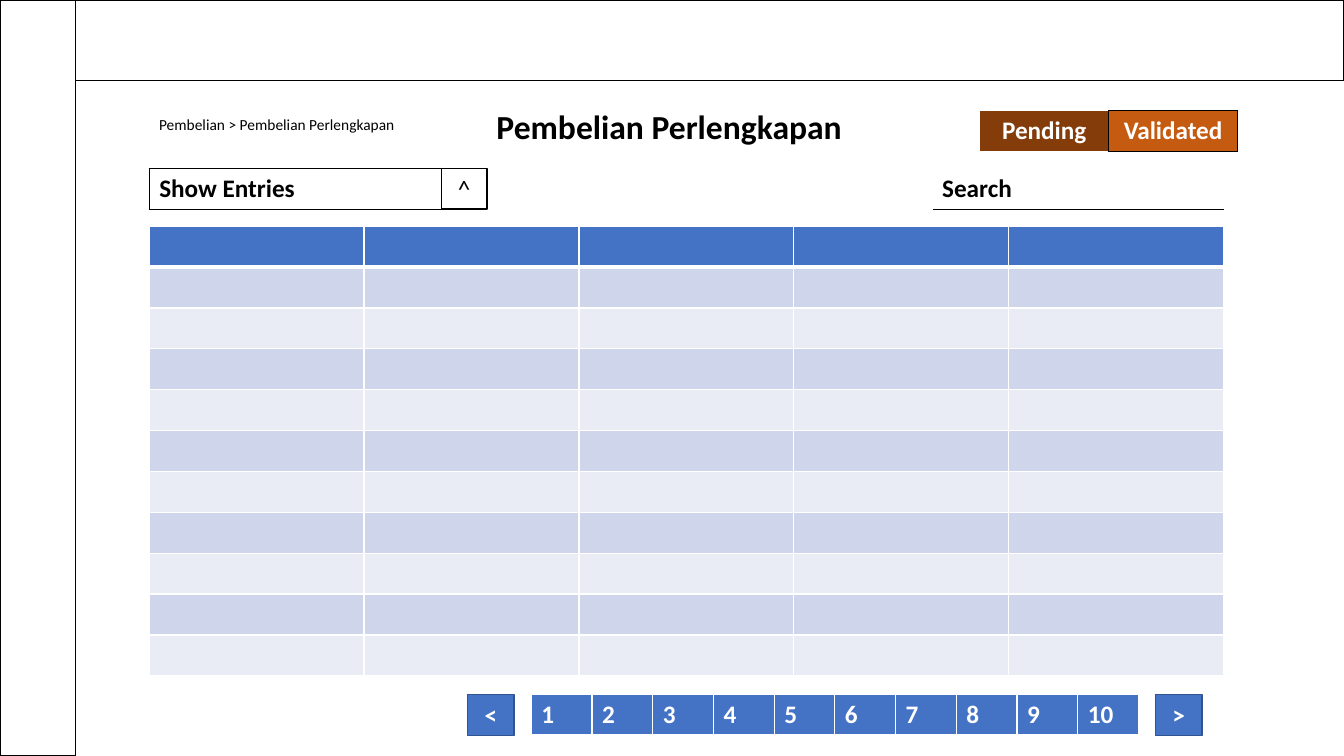
from collections import namedtuple
from dataclasses import dataclass

from lxml import etree
from pptx import Presentation
from pptx.dml.color import RGBColor
from pptx.enum.shapes import MSO_SHAPE
from pptx.enum.text import MSO_ANCHOR, PP_ALIGN
from pptx.oxml.ns import qn
from pptx.util import Cm, Pt

RECTANGLE = MSO_SHAPE.RECTANGLE
LEFT, CENTER = PP_ALIGN.LEFT, PP_ALIGN.CENTER
MIDDLE = MSO_ANCHOR.MIDDLE
Box = namedtuple("Box", "left top width height")


@dataclass(frozen=True)
class Theme:
    """Colours, type sizes and line widths of the page."""
    font: str = "Calibri"
    black: str = "000000"
    white: str = "FFFFFF"
    blue: str = "4472C4"
    blue_edge: str = "325491"
    bands: tuple = ("CFD5EA", "E9EBF5")
    pending: str = "843C0B"
    validated: str = "C55A11"
    title: int = 24
    label: int = 18
    crumb: int = 11
    thin: int = 1
    thick: int = 3


THEME = Theme()


def lengths(box):
    """Return the box sides as centimetre lengths."""
    return [Cm(side) for side in box]


def write(frame, text, size=THEME.label, color=THEME.black, bold=True, align=LEFT):
    """Write one formatted paragraph into a text frame."""
    para = frame.paragraphs[0]
    para.alignment = align
    span = para.add_run()
    span.text = text
    span.font.name = THEME.font
    span.font.size = Pt(size)
    span.font.bold = bold
    span.font.color.rgb = RGBColor.from_string(color)


def add_text(page, box, text, **style):
    """Place a wrapping text box."""
    frame = page.shapes.add_textbox(*lengths(box)).text_frame
    frame.word_wrap = True
    write(frame, text, **style)


def add_panel(page, box, fill=None, line=THEME.black, text=None, **style):
    """Place an outlined rectangle with optional fill and text."""
    panel = page.shapes.add_shape(RECTANGLE, *lengths(box))
    panel.shadow.inherit = False
    panel.line.color.rgb = RGBColor.from_string(line)
    panel.line.width = Pt(THEME.thin)
    if fill:
        panel.fill.solid()
        panel.fill.fore_color.rgb = RGBColor.from_string(fill)
    else:
        panel.fill.background()
    if text:
        panel.text_frame.vertical_anchor = MIDDLE
        write(panel.text_frame, text, align=CENTER, **style)


def add_grid(page, box, rows, columns):
    """Place a table of equal cells and return it."""
    table = page.shapes.add_table(rows, columns, *lengths(box)).table
    table.first_row = False
    table.horz_banding = False
    for column in table.columns:
        column.width = Cm(box.width / columns)
    for row in table.rows:
        row.height = Cm(box.height / rows)
    return table


def format_cell(cell, fill=None, **borders):
    """Set the cell fill and its L, R, T, B borders as (colour, points)."""
    properties = cell._tc.get_or_add_tcPr()
    for side in "LRTB":
        color, points = borders.get(side, (THEME.white, THEME.thin))
        line = etree.SubElement(properties, qn(f"a:ln{side}"), w=str(Pt(points)))
        solid = etree.SubElement(line, qn("a:solidFill"))
        etree.SubElement(solid, qn("a:srgbClr"), val=color)
    if fill:
        cell.fill.solid()
        cell.fill.fore_color.rgb = RGBColor.from_string(fill)
    else:
        cell.fill.background()


def build_frame(page, box, header_height, sidebar_width):
    """Draw the empty header bar and the sidebar."""
    add_panel(page, box._replace(height=header_height), THEME.white)
    add_panel(page, box._replace(width=sidebar_width), THEME.white)


def build_heading(page, box):
    """Place the breadcrumb, the page title and the status tabs."""
    add_text(page, Box(box.left, box.top + 0.23, 6.78, 0.74),
             "Pembelian > Pembelian Perlengkapan", size=THEME.crumb, bold=False)
    add_text(page, Box(box.left + 6.35, box.top, 13.51, box.height),
             "Pembelian Perlengkapan", size=THEME.title, align=CENTER)
    tabs = add_grid(page, Box(box.left + 20.93, box.top + 0.25, 6.5, 1.03), 1, 2)
    edge = (THEME.black, THEME.thin)
    pending, validated = tabs.cell(0, 0), tabs.cell(0, 1)
    format_cell(pending, THEME.pending, R=edge)
    format_cell(validated, THEME.validated, L=edge, R=edge, T=edge, B=edge)
    for cell, text in ((pending, "Pending"), (validated, "Validated")):
        write(cell.text_frame, text, color=THEME.white, align=CENTER)


def build_filters(page, box, field_width=7.37):
    """Place the entries selector on the left and the search on the right."""
    edge = (THEME.black, THEME.thin)
    search_left = box.left + box.width - field_width
    fields = (("Search", search_left, "B"), ("Show Entries", box.left, "LRTB"))
    for text, left, sides in fields:
        field = box._replace(left=left, width=field_width)
        cell = add_grid(page, field, 1, 1).cell(0, 0)
        format_cell(cell, **dict.fromkeys(sides, edge))
        write(cell.text_frame, text)
    add_panel(page, box._replace(left=box.left + field_width, width=1.14),
              text="^", bold=False)


def build_entries(page, box):
    """Place the empty banded table of entries."""
    table = add_grid(page, box, 11, 5)
    divider = (THEME.white, THEME.thick)
    for index, row in enumerate(table.rows):
        for cell in row.cells:
            if index == 0:
                format_cell(cell, THEME.blue, B=divider)
            elif index == 1:
                format_cell(cell, THEME.bands[0], T=divider)
            else:
                format_cell(cell, THEME.bands[(index - 1) % 2])


def build_pager(page, box, button_width=1.17, gap=0.43):
    """Place the page numbers between the two step buttons."""
    inset = button_width + gap
    numbers = box._replace(left=box.left + inset, width=box.width - 2 * inset)
    table = add_grid(page, numbers, 1, 10)
    for number, cell in enumerate(table.rows[0].cells, 1):
        format_cell(cell, THEME.blue, B=(THEME.white, THEME.thick))
        write(cell.text_frame, str(number), color=THEME.white)
    next_left = box.left + box.width - button_width
    for text, left in ((">", next_left), ("<", box.left)):
        add_panel(page, box._replace(left=left, width=button_width), THEME.blue,
                  THEME.blue_edge, text, color=THEME.white)


def main():
    """Build the page and save the deck."""
    deck = Presentation()
    deck.slide_width, deck.slide_height = Cm(33.87), Cm(19.05)
    page = deck.slides.add_slide(deck.slide_layouts[6])
    build_frame(page, Box(0, 0, 33.87, 19.05), 2.03, 1.9)
    build_heading(page, Box(3.76, 2.54, 27.43, 1.27))
    build_filters(page, Box(3.76, 4.24, 27.1, 1.03))
    build_entries(page, Box(3.76, 5.7, 27.08, 11.33))
    build_pager(page, Box(11.79, 17.5, 18.5, 1.03))
    deck.save("out.pptx")


if __name__ == "__main__":
    main()
